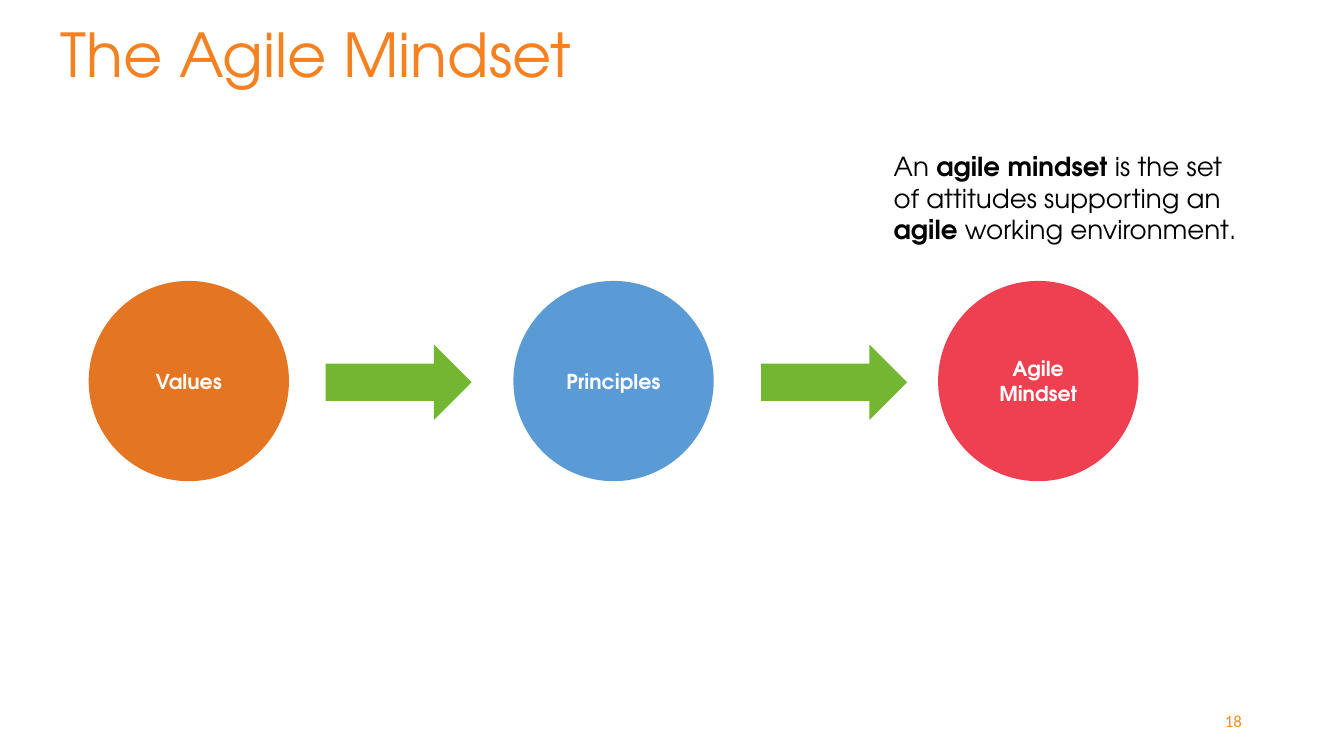
from lxml import etree
from pptx import Presentation
from pptx.dml.color import RGBColor
from pptx.enum.shapes import MSO_SHAPE
from pptx.enum.text import MSO_ANCHOR, MSO_AUTO_SIZE, PP_ALIGN
from pptx.oxml.ns import qn
from pptx.util import Inches, Pt

OVAL, ARROW = MSO_SHAPE.OVAL, MSO_SHAPE.RIGHT_ARROW
TOP, MIDDLE, BOTTOM = MSO_ANCHOR.TOP, MSO_ANCHOR.MIDDLE, MSO_ANCHOR.BOTTOM
LEFT, CENTER, RIGHT = PP_ALIGN.LEFT, PP_ALIGN.CENTER, PP_ALIGN.RIGHT
NO_FIT, GROW = MSO_AUTO_SIZE.NONE, MSO_AUTO_SIZE.SHAPE_TO_FIT_TEXT

FONT = "TeX Gyre Adventor"
COLORS = {
    "title": "F68121",
    "number": "F68C1E",
    "text": "000000",
    "label": "FFFFFF",
    "values": "E47623",
    "principles": "5B9BD5",
    "mindset": "EF4051",
    "arrow": "73B632",
}


def rgb(name):
    return RGBColor.from_string(COLORS[name])


def write_text(shape, paragraphs, size, color, font=FONT, align=LEFT,
               anchor=TOP, fit=NO_FIT):
    """Each paragraph is a list of (text, bold) runs."""
    frame = shape.text_frame
    frame.word_wrap = True
    frame.auto_size = fit
    frame.vertical_anchor = anchor
    frame.margin_left = frame.margin_right = Inches(0.07)
    frame.margin_top = frame.margin_bottom = Inches(0.04)
    for index, runs in enumerate(paragraphs):
        paragraph = frame.add_paragraph() if index else frame.paragraphs[0]
        paragraph.alignment = align
        for text, bold in runs:
            run = paragraph.add_run()
            run.text = text
            run.font.name = font
            run.font.size = Pt(size)
            run.font.bold = bold
            run.font.color.rgb = rgb(color)


# Slide in 16:9
presentation = Presentation()
presentation.slide_width = Inches(10)
presentation.slide_height = Inches(10 * 9 / 16)
slide = presentation.slides.add_slide(presentation.slide_layouts[5])
shapes = slide.shapes

# Title
title = shapes.title
title.left, title.top = Inches(0.38), Inches(0.18)
title.width, title.height = Inches(6.75), Inches(0.53)
write_text(title, [[("The Agile Mindset", False)]], 32.4, "title", anchor=BOTTOM)

# Circles, evenly spaced
steps = [
    (["Values"], "values"),
    (["Principles"], "principles"),
    (["Agile", "Mindset"], "mindset"),
]
for index, (lines, color) in enumerate(steps):
    circle = shapes.add_shape(OVAL, Inches(0.66 + 3.16 * index), Inches(2.09),
                              Inches(1.49), Inches(1.49))
    circle.shadow.inherit = False
    circle.fill.solid()
    circle.fill.fore_color.rgb = rgb(color)
    circle.line.fill.background()
    write_text(circle, [[(line, True)] for line in lines], 11, "label",
               align=CENTER, anchor=MIDDLE)

# Arrows between the circles, with sharp corners
for index in range(len(steps) - 1):
    arrow = shapes.add_shape(ARROW, Inches(2.43 + 3.24 * index), Inches(2.58),
                             Inches(1.07), Inches(0.53))
    arrow.shadow.inherit = False
    arrow.fill.solid()
    arrow.fill.fore_color.rgb = rgb("arrow")
    arrow.line.color.rgb = rgb("arrow")
    arrow.line.width = Pt(1)
    outline = arrow.element.spPr.find(qn("a:ln"))
    etree.SubElement(outline, qn("a:miter"), lim="800000")

# Definition
definition = shapes.add_textbox(Inches(6.58), Inches(1.08), Inches(2.74), Inches(0.78))
write_text(definition, [[
    ("An ", False),
    ("agile mindset", True),
    (" is the set of attitudes supporting an ", False),
    ("agile", True),
    (" working environment.", False),
]], 14, "text", fit=GROW)

# Slide number
number = shapes.add_textbox(Inches(7.06), Inches(5.21), Inches(2.25), Inches(0.3))
write_text(number, [[("18", False)]], 9, "number", font="Calibri",
           align=RIGHT, anchor=MIDDLE)

presentation.save("out.pptx")
